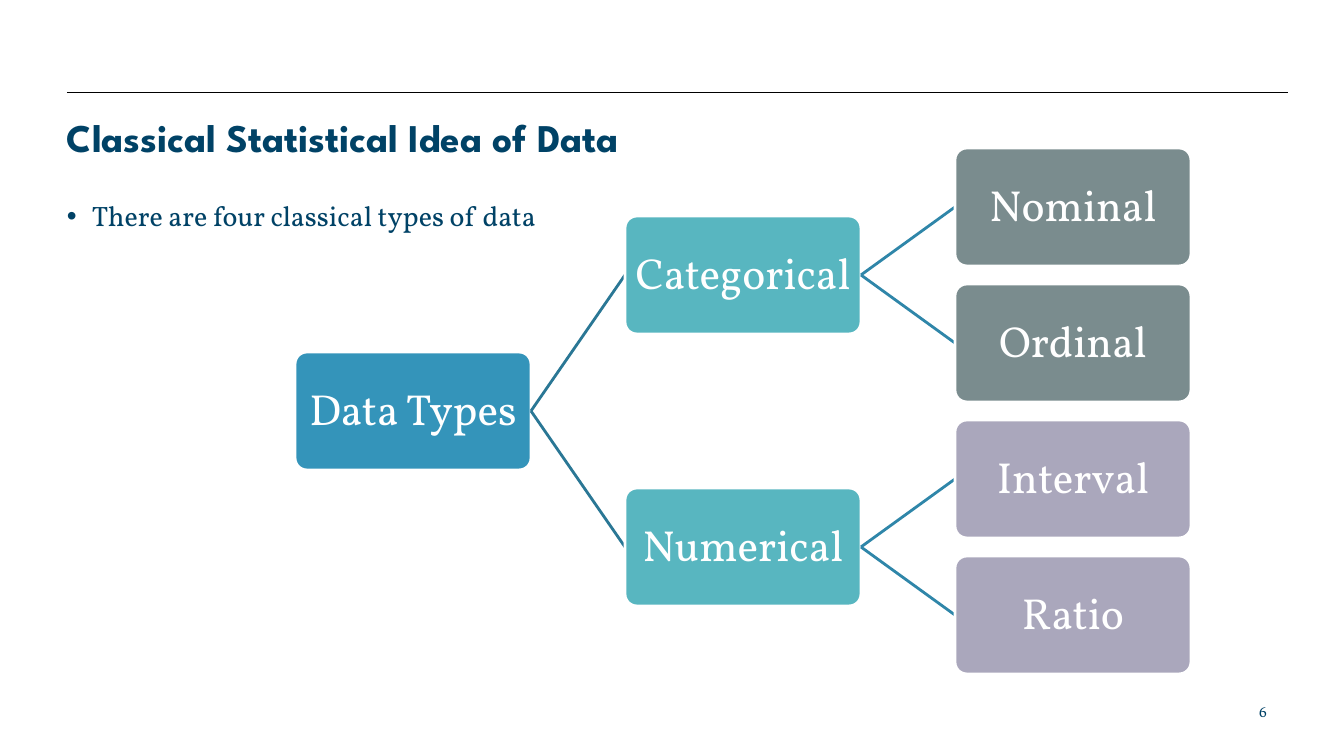
"""Build the slide that shows the classical types of data as a tree."""
import pptx
import pptx.dml.color
import pptx.enum.shapes
import pptx.enum.text
import pptx.util
import lxml.etree

RGB = pptx.dml.color.RGBColor
ALIGN = pptx.enum.text.PP_ALIGN
ANCHOR = pptx.enum.text.MSO_ANCHOR

NAVY = RGB(0x00, 0x42, 0x66)
WHITE = RGB(0xFF, 0xFF, 0xFF)
BLACK = RGB(0x00, 0x00, 0x00)
BLUE = RGB(0x34, 0x94, 0xBA)
TEAL = RGB(0x58, 0xB6, 0xC0)
GREY = RGB(0x7A, 0x8C, 0x8E)
LILAC = RGB(0xAA, 0xA7, 0xBC)
ROOT_LINE = RGB(0x2A, 0x77, 0x95)
BRANCH_LINE = RGB(0x2F, 0x86, 0xA9)

TITLE = "Classical Statistical Idea of Data"
BULLET = "There are four classical types of data"
PAGE_NUMBER = "6"
TREE = ("Data Types", BLUE, [
    ("Categorical", TEAL, [("Nominal", GREY, []), ("Ordinal", GREY, [])]),
    ("Numerical", TEAL, [("Interval", LILAC, []), ("Ratio", LILAC, [])]),
])
LEVEL_LINES = (ROOT_LINE, BRANCH_LINE)

SLIDE_SIZE = (1344, 756)
TITLE_AREA = (67, 113, 1210, 47)
BODY_AREA = (67, 199, 789, 179)
NUMBER_AREA = (964, 697, 313, 25)
RULE = (67, 93, 1288, 93)
TREE_LEFT, TREE_TOP = 295, 148
COLUMN_STEP, ROW_STEP = 330, 136
NODE_WIDTH, NODE_HEIGHT = 236, 118
NODE_INSET, BULLET_INDENT = 2, 25

TITLE_FONT = {"name": "League Spartan", "size": pptx.util.Pt(28), "bold": True}
BODY_FONT = {"name": "Vollkorn", "size": pptx.util.Pt(20)}
NUMBER_FONT = {"name": "Vollkorn", "size": pptx.util.Pt(11)}
NODE_FONT = {"name": "Vollkorn", "size": pptx.util.Pt(31)}


def px(length):
    return round(length * 914400 / 100.8)


def apply(target, values):
    for name, value in values.items():
        setattr(target, name, value)


def place(box, area):
    apply(box, dict(zip(("left", "top", "width", "height"), map(px, area))))


def write(box, text, font, color, align, anchor, inset=None):
    frame = box.text_frame
    apply(frame, {"text": text, "word_wrap": True, "vertical_anchor": anchor,
                  "auto_size": pptx.enum.text.MSO_AUTO_SIZE.NONE})
    if inset is not None:
        sides = ("left", "top", "right", "bottom")
        apply(frame, {f"margin_{side}": px(inset) for side in sides})
    para = frame.paragraphs[0]
    apply(para, {"alignment": align, "space_before": pptx.util.Pt(0)})
    span = para.runs[0]
    apply(span.font, font)
    span.font.color.rgb = color
    return para


def add_line(page, ends, color, width):
    line = page.shapes.add_connector(
        pptx.enum.shapes.MSO_CONNECTOR.STRAIGHT, *map(px, ends))
    line.line.color.rgb = color
    line.line.width = pptx.util.Pt(width)
    properties = line._element.spPr
    lxml.etree.SubElement(properties, pptx.oxml.ns.qn("a:effectLst"))
    return line


def leaf_count(node):
    return sum(map(leaf_count, node[2])) or 1


def add_node(page, node, level=0, first_row=0):
    label, color, children = node
    row = first_row + (leaf_count(node) - 1) / 2
    left = TREE_LEFT + level * COLUMN_STEP
    top = TREE_TOP + row * ROW_STEP
    box = page.shapes.add_shape(
        pptx.enum.shapes.MSO_SHAPE.ROUNDED_RECTANGLE,
        *map(px, (left, top, NODE_WIDTH, NODE_HEIGHT)))
    box.shadow.inherit = False
    box.adjustments[0] = 0.1
    box.fill.solid()
    box.fill.fore_color.rgb = color
    box.line.color.rgb = WHITE
    box.line.width = pptx.util.Pt(2)
    para = write(box, label, NODE_FONT, WHITE, ALIGN.CENTER, ANCHOR.MIDDLE, NODE_INSET)
    para.line_spacing = 0.9
    start = (left + NODE_WIDTH, top + NODE_HEIGHT / 2)
    for child in children:
        branch = add_line(page, start + start, LEVEL_LINES[level], 2)
        branch.begin_connect(box, 3)
        branch.end_connect(add_node(page, child, level + 1, first_row), 1)
        first_row += leaf_count(child)
    return box


def main():
    deck = pptx.Presentation()
    deck.slide_width, deck.slide_height = map(px, SLIDE_SIZE)
    page = deck.slides.add_slide(deck.slide_layouts[1])
    add_line(page, RULE, BLACK, 0.75)

    title, body = page.shapes.title, page.placeholders[1]
    place(title, TITLE_AREA)
    write(title, TITLE, TITLE_FONT, NAVY, ALIGN.LEFT, ANCHOR.MIDDLE, 0)

    place(body, BODY_AREA)
    para = write(body, BULLET, BODY_FONT, NAVY, ALIGN.LEFT, ANCHOR.TOP, 0)
    properties = para._p.get_or_add_pPr()
    properties.set("marL", str(px(BULLET_INDENT)))
    properties.set("indent", str(-px(BULLET_INDENT)))
    bullet = lxml.etree.SubElement(properties, pptx.oxml.ns.qn("a:buChar"))
    bullet.set("char", "•")

    number = page.shapes.add_textbox(*map(px, NUMBER_AREA))
    write(number, PAGE_NUMBER, NUMBER_FONT, NAVY, ALIGN.RIGHT, ANCHOR.TOP)

    add_node(page, TREE)
    deck.save("out.pptx")


if __name__ == "__main__":
    main()
